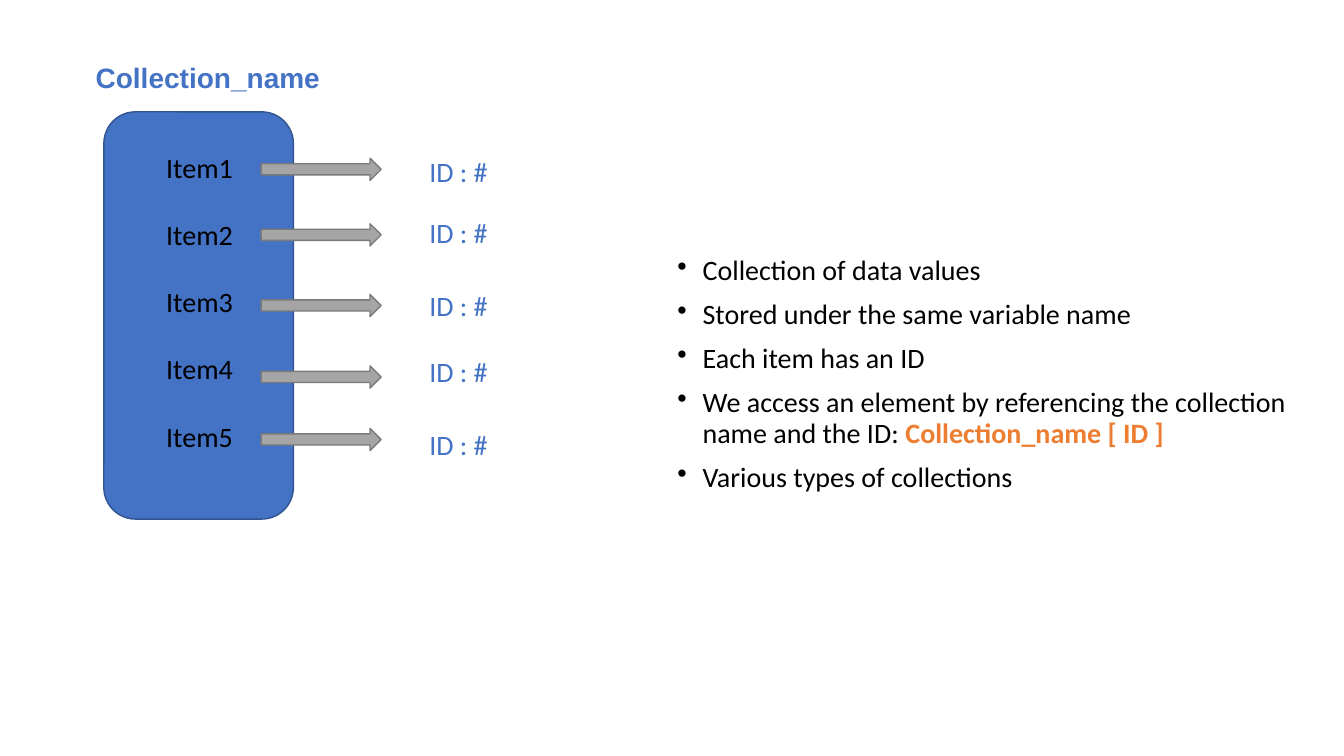
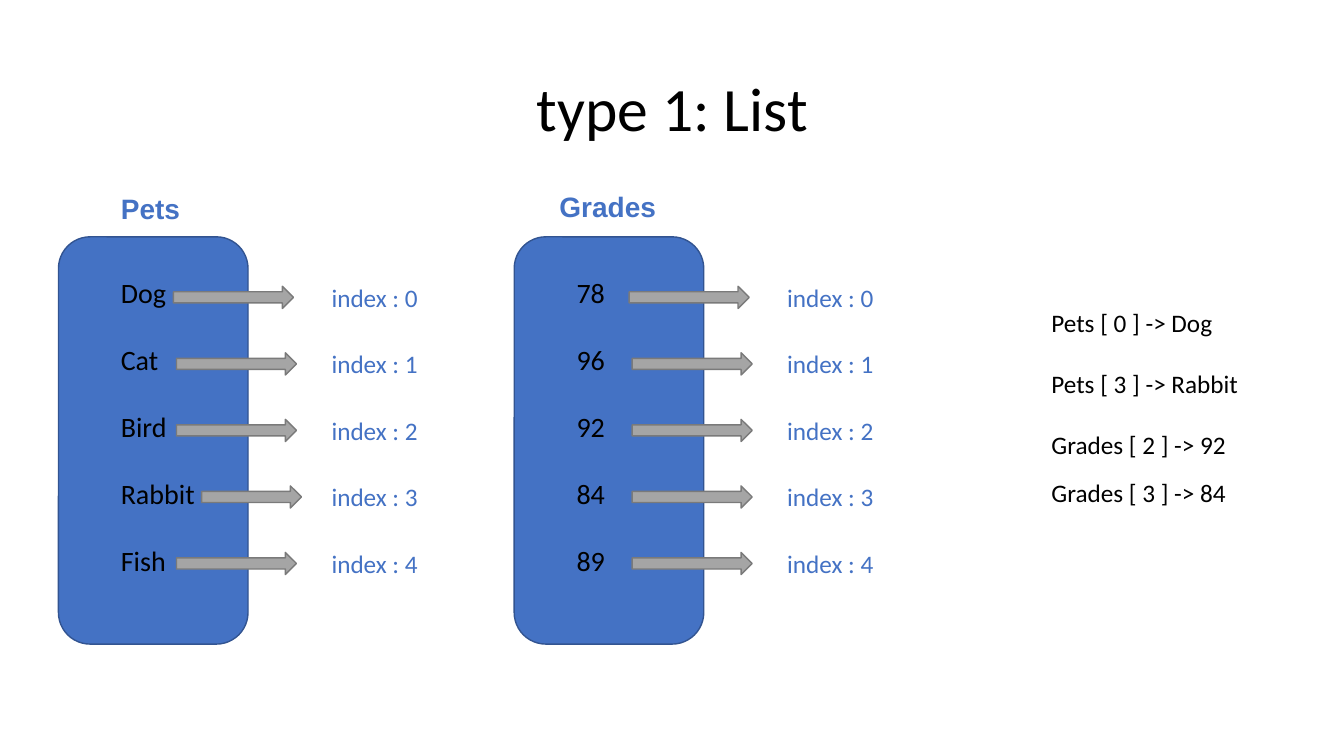
from lxml import etree
from pptx import Presentation
from pptx.dml.color import RGBColor
from pptx.enum.shapes import MSO_SHAPE
from pptx.enum.text import MSO_ANCHOR, PP_ALIGN
from pptx.oxml.ns import qn
from pptx.util import Inches, Pt

ROUNDED = MSO_SHAPE.ROUNDED_RECTANGLE
RIGHT_ARROW = MSO_SHAPE.RIGHT_ARROW
MIDDLE = MSO_ANCHOR.MIDDLE
CENTER = PP_ALIGN.CENTER

BLUE, BLUE_EDGE = "4472C4", "325491"
GRAY, GRAY_EDGE = "A5A5A5", "7A7A7A"
ORANGE, BLACK = "ED7D31", "000000"


def rgb(value):
    return RGBColor.from_string(value)


def add_text(s, x, y, w, h, lines, size=20, color=BLACK, font="Calibri",
             bold=False, before=0):
    sp = s.shapes.add_textbox(Inches(x), Inches(y), Inches(w), Inches(h))
    tf = sp.text_frame
    tf.word_wrap = True
    for i, line in enumerate(lines):
        p = tf.paragraphs[0] if i == 0 else tf.add_paragraph()
        p.text = line
        p.font.name = font
        p.font.size = Pt(size)
        p.font.bold = bold
        p.font.color.rgb = rgb(color)
        if i:
            p.space_before = Pt(before)
    return tf


def add_block(s, kind, x, y, w, h, fill, edge):
    sp = s.shapes.add_shape(kind, Inches(x), Inches(y), Inches(w), Inches(h))
    sp.shadow.inherit = False
    sp.fill.solid()
    sp.fill.fore_color.rgb = rgb(fill)
    sp.line.color.rgb = rgb(edge)
    sp.line.width = Pt(1)


def add_title(s, text):
    tf = add_text(s, 0.92, 0.38, 11.5, 1.45, [text], size=44)
    tf.vertical_anchor = MIDDLE
    tf.paragraphs[0].alignment = CENTER
    tf.paragraphs[0].line_spacing = 0.9


def add_collection(s, x, y, items, arrows, labels, label_x, label_ys, label_size):
    add_block(s, ROUNDED, x, y, 1.88, 4.04, BLUE, BLUE_EDGE)
    add_text(s, x + 0.52, y + 0.33, 1.7, 3.13, items, before=24)
    for dx, dy, w in arrows:
        add_block(s, RIGHT_ARROW, x + dx, y + dy, w, 0.22, GRAY, GRAY_EDGE)
    for label, dy in zip(labels, label_ys):
        add_text(s, x + label_x, y + dy, 1.6, 0.4, [label], label_size, BLUE)


def add_name(s, x, y, w, name):
    add_text(s, x, y, w, 0.44, [name], color=BLUE, font="Arial", bold=True)


def add_bullets(s, x, y, w, h, lines, emphasis):
    tf = add_text(s, x, y, w, h, lines, before=10)
    for p in tf.paragraphs:
        p.line_spacing = 0.9
        pPr = p._p.get_or_add_pPr()
        pPr.set("marL", str(Inches(0.25)))
        pPr.set("indent", str(-Inches(0.25)))
        bullet = etree.Element(qn("a:buChar"), char="•")
        pPr.find(qn("a:defRPr")).addprevious(bullet)
    r = tf.paragraphs[3].add_run()
    r.text = emphasis
    r.font.bold = True
    r.font.color.rgb = rgb(ORANGE)


def build_overview(s):
    add_bullets(s, 6.62, 2.49, 6.28, 3.69, [
        "Collection of data values",
        "Stored under the same variable name",
        "Each item has an ID",
        "We access an element by referencing the collection name and the ID: ",
        "Various types of collections",
    ], "Collection_name [ ID ]")
    add_name(s, 0.85, 0.55, 2.52, "Collection_name")
    arrows = [(1.56, dy, 1.19) for dy in (0.46, 1.11, 1.81, 2.52, 3.14)]
    add_collection(s, 1.03, 1.11, [f"Item{n}" for n in range(1, 6)], arrows,
                   ["ID : #"] * 5, 3.13, (0.37, 0.98, 1.7, 2.36, 3.08), 20)


def build_list(s):
    add_title(s, "type 1: List")
    add_name(s, 1.1, 1.85, 1.22, "Pets")
    add_name(s, 5.45, 1.83, 1.22, "Grades")
    rows = [0.66 * i for i in range(5)]
    grade_arrows = [(1.17 if dy else 1.14, 0.49 + dy, 1.19) for dy in rows]
    pet_arrows = list(grade_arrows)
    pet_arrows[3] = (1.42, 0.49 + rows[3], 0.99)
    indexes = [f"index : {i}" for i in range(5)]
    for x, items, arrows in (
        (0.58, ["Dog", "Cat", "Bird", "Rabbit", "Fish"], pet_arrows),
        (5.1, ["78", "96", "92", "84", "89"], grade_arrows),
    ):
        add_collection(s, x, 2.35, items, arrows, indexes, 2.61,
                       [0.4 + dy for dy in rows], 18)
    for y, example in (
        (3, "Pets [ 0 ] -> Dog"),
        (3.6, "Pets [ 3 ] -> Rabbit"),
        (4.21, "Grades [ 2 ] -> 92"),
        (4.69, "Grades [ 3 ] -> 84"),
    ):
        add_text(s, 10.33, y, 2.42, 0.4, [example], size=18)


def main():
    prs = Presentation()
    prs.slide_width = Inches(13.33)
    prs.slide_height = Inches(7.5)
    for build in (build_overview, build_list):
        build(prs.slides.add_slide(prs.slide_layouts[6]))
    prs.save("out.pptx")


if __name__ == "__main__":
    main()
